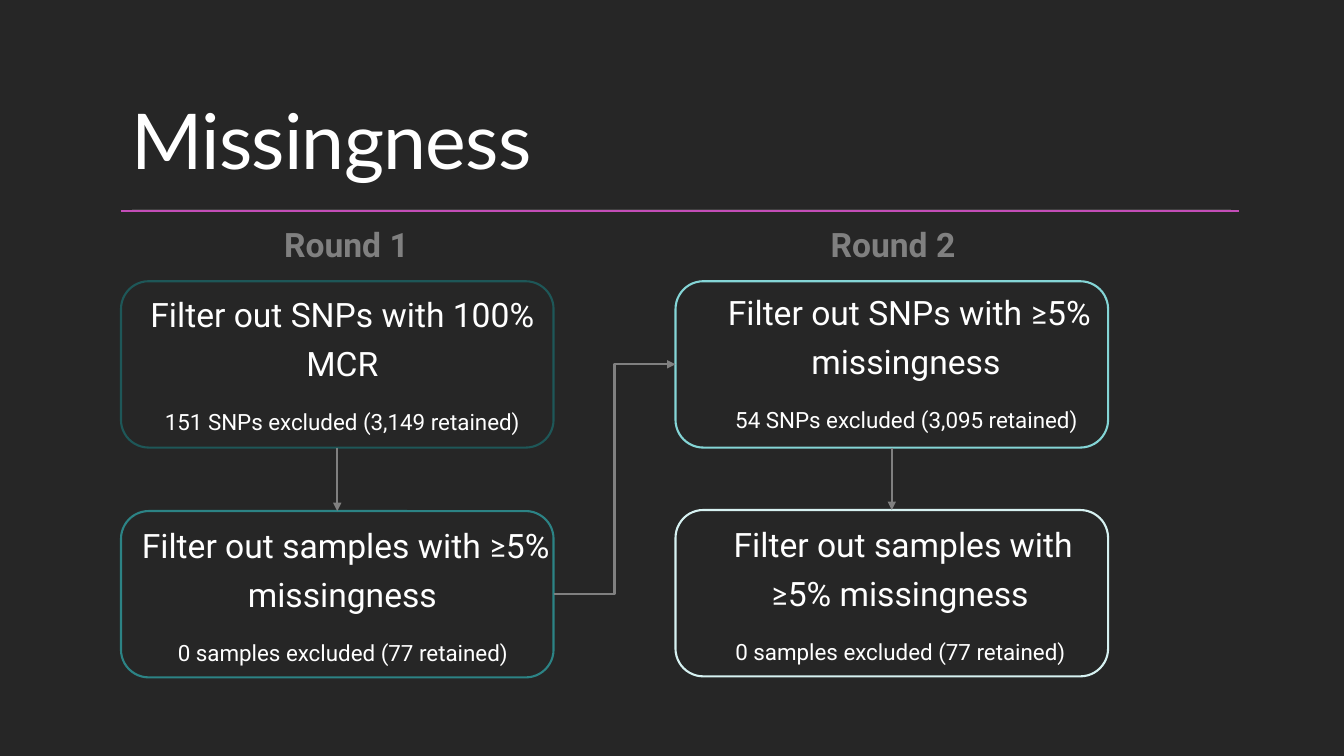
from lxml import etree
from pptx import Presentation
from pptx.dml.color import RGBColor
from pptx.enum.shapes import MSO_CONNECTOR, MSO_SHAPE
from pptx.enum.text import MSO_ANCHOR, MSO_AUTO_SIZE, PP_ALIGN
from pptx.oxml.ns import qn
from pptx.util import Inches, Pt

STRAIGHT, ELBOW = MSO_CONNECTOR.STRAIGHT, MSO_CONNECTOR.ELBOW
ROUNDED = MSO_SHAPE.ROUNDED_RECTANGLE
CENTER, LEFT = PP_ALIGN.CENTER, PP_ALIGN.LEFT
TOP, BOTTOM = MSO_ANCHOR.TOP, MSO_ANCHOR.BOTTOM
NO_FIT = MSO_AUTO_SIZE.NONE
SITE_TOP, SITE_LEFT, SITE_BOTTOM, SITE_RIGHT = range(4)

# Content
TITLE = "Missingness"
ROUNDS = [("Round 1", 2.72), ("Round 2", 8.14)]
# Each step: headline runs, result, border colour, box corner, text area
STEPS = [
    (["Filter out SNPs with 100% MCR"],
     "151 SNPs excluded (3,149 retained)",
     "snps_1", (1.2, 2.79), (1.2, 2.79, 4.29, 1.65)),
    (["Filter out samples with ", "≥", "5% missingness"],
     "0 samples excluded (77 retained)",
     "samples_1", (1.2, 5.07), (1.2, 5.08, 4.29, 1.65)),
    (["Filter out SNPs with ", "≥", "5% missingness"],
     "54 SNPs excluded (3,095 retained)",
     "snps_2", (6.7, 2.79), (6.87, 2.77, 4.13, 1.67)),
    (["Filter out samples with ", "≥", "5% missingness"],
     "0 samples excluded (77 retained)",
     "samples_2", (6.7, 5.06), (6.81, 5.07, 4.13, 1.67)),
]
# Each arrow: from step, site, to step, site, kind
ARROWS = [
    (0, SITE_BOTTOM, 1, SITE_TOP, STRAIGHT),
    (2, SITE_BOTTOM, 3, SITE_TOP, STRAIGHT),
    (1, SITE_RIGHT, 2, SITE_LEFT, ELBOW),
]
BOX_W, BOX_H = 4.29, 1.65
COLORS = {
    "background": "262626", "text": "FFFFFF", "muted": "808080",
    "accent": "C34DB7", "rule": "404040",
    "snps_1": "1E5758", "samples_1": "2C8385",
    "snps_2": "84D5D6", "samples_2": "D6F1F1",
}


def color(name):
    return RGBColor.from_string(COLORS[name])


def place(shape, area):
    shape.left, shape.top, shape.width, shape.height = map(Inches, area)


def format_run(run, size, name="text", font="Roboto", bold=False):
    run.font.size, run.font.name, run.font.bold = Pt(size), font, bold
    run.font.color.rgb = color(name)


def add_line(kind, start, end, name, width):
    line = slide.shapes.add_connector(kind, *map(Inches, start + end))
    line.line.color.rgb = color(name)
    line.line.width = Pt(width)
    etree.SubElement(line._element.spPr, qn("a:effectLst"))
    return line


def format_step(paragraph):
    paragraph.alignment = CENTER
    paragraph.line_spacing = 1.2
    paragraph.space_before, paragraph.space_after = Pt(12), Pt(2)
    properties = paragraph._p.get_or_add_pPr()
    properties.set("marL", str(Inches(0.1)))
    properties.set("indent", str(Inches(-0.1)))
    bullet_color = etree.SubElement(properties, qn("a:buClr"))
    etree.SubElement(bullet_color, qn("a:srgbClr"), val=COLORS["accent"])
    etree.SubElement(properties, qn("a:buChar"), char=" ")


def fill_step(frame, headline, result):
    frame.word_wrap, frame.auto_size = True, NO_FIT
    frame.vertical_anchor = TOP
    frame.margin_left = frame.margin_right = 0
    frame.margin_top = frame.margin_bottom = Inches(0.05)
    first, second = frame.paragraphs[0], frame.add_paragraph()
    for part in headline:
        run = first.add_run()
        run.text = part
        format_run(run, 24, font="Calibri" if part == "≥" else "Roboto")
    second.text = result
    format_run(second.runs[0], 16)
    format_step(first)
    format_step(second)


# Slide
prs = Presentation()
prs.slide_width, prs.slide_height = Inches(13.33), Inches(7.5)
slide = prs.slides.add_slide(prs.slide_layouts[1])
slide.background.fill.solid()
slide.background.fill.fore_color.rgb = color("background")

# Title and rules
title = slide.shapes.title
place(title, (1.2, 0.31, 11, 1.59))
title.text_frame.text = TITLE
title.text_frame.auto_size = NO_FIT
title.text_frame.vertical_anchor = BOTTOM
heading = title.text_frame.paragraphs[0]
heading.alignment, heading.line_spacing = LEFT, 0.9
format_run(heading.runs[0], 55, font="Lato")
heading.runs[0].font._element.set("spc", "-50")
add_line(STRAIGHT, (1.31, 2.08), (12.21, 2.08), "rule", 1)
add_line(STRAIGHT, (1.2, 2.09), (12.29, 2.09), "accent", 1.5)

# Round labels
for label, left in ROUNDS:
    round_label = slide.shapes.add_textbox(*map(Inches, (left, 2.17, 3.54, 0.5)))
    round_label.text_frame.word_wrap = True
    round_label.text_frame.text = label
    format_run(round_label.text_frame.paragraphs[0].runs[0], 24, "muted", bold=True)

# Steps: the first one uses the body placeholder
boxes = []
for index, (headline, result, border, corner, area) in enumerate(STEPS):
    if index == 0:
        step_text = slide.placeholders[1]
        place(step_text, area)
    else:
        step_text = slide.shapes.add_textbox(*map(Inches, area))
    fill_step(step_text.text_frame, headline, result)
    box = slide.shapes.add_shape(ROUNDED, *map(Inches, corner + (BOX_W, BOX_H)))
    box.shadow.inherit = False
    box.fill.background()
    box.line.color.rgb = color(border)
    box.line.width = Pt(1.5)
    boxes.append(box)

# Arrows between the boxes
for source, source_site, target, target_site, kind in ARROWS:
    arrow = add_line(kind, (0, 0), (1, 1), "muted", 1.5)
    arrow.begin_connect(boxes[source], source_site)
    arrow.end_connect(boxes[target], target_site)
    etree.SubElement(arrow.line._get_or_add_ln(), qn("a:tailEnd"), type="triangle")

prs.save("out.pptx")
